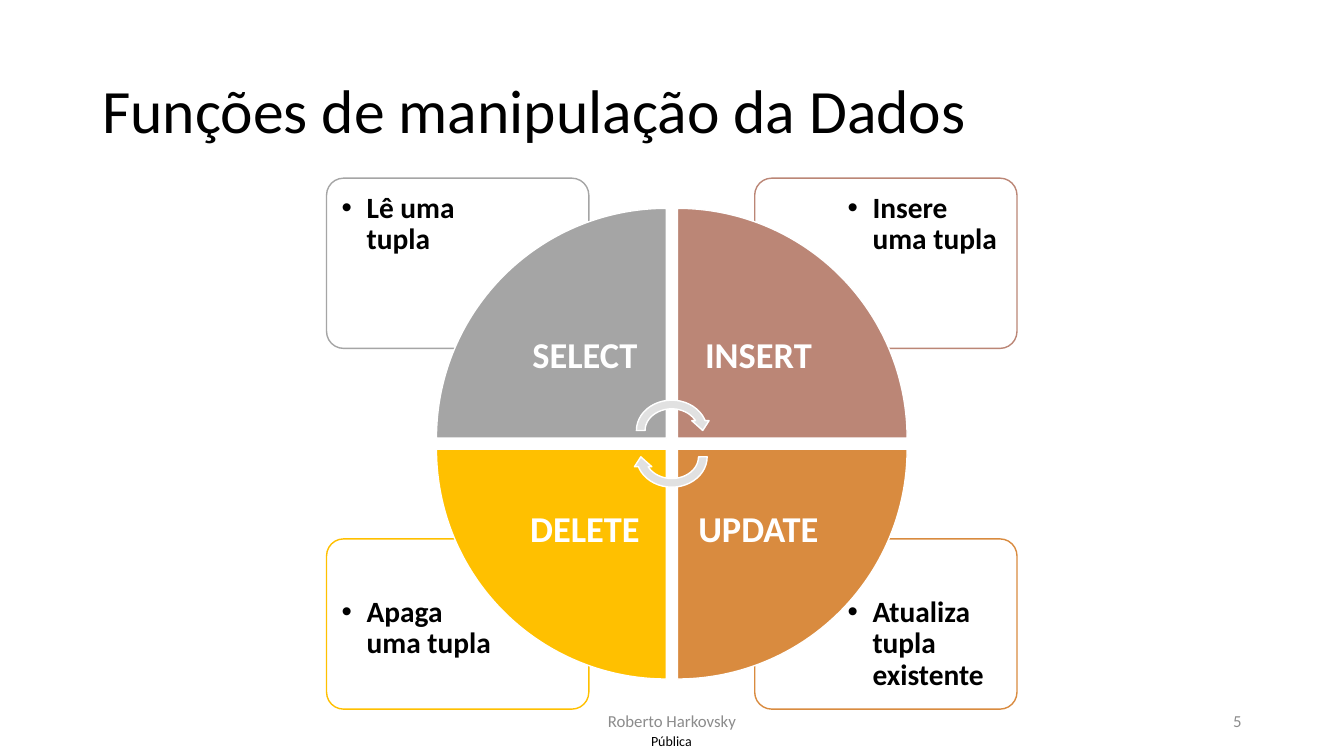
from lxml import etree
from pptx import Presentation
from pptx.dml.color import RGBColor
from pptx.enum.shapes import MSO_SHAPE as SHAPE
from pptx.enum.text import MSO_ANCHOR as ANCHOR, PP_ALIGN as ALIGN
from pptx.oxml.ns import qn
from pptx.util import Cm, Pt

COLORS = {"black": "000000", "white": "FFFFFF", "footer": "8C8C8C",
          "arrow": "E1E1E1", "select": "A5A5A5", "insert": "BB8676",
          "update": "D98B3F", "delete": "FFC000"}

FUNCTIONS = [
    ("SELECT", "Lê uma tupla", "select", -1, -1),
    ("INSERT", "Insere uma tupla", "insert", 1, -1),
    ("UPDATE", "Atualiza tupla existente", "update", 1, 1),
    ("DELETE", "Apaga uma tupla", "delete", -1, 1),
]

FRAME_TEXTS = [
    ("Pública", (16.03, 18.31, 1.78, 0.74), 10, "black", ALIGN.CENTER, 0),
    ("Funções de manipulação da Dados", (2.33, 1.01, 29.21, 3.68), 44, "black", ALIGN.LEFT, 0.25),
    ("Roberto Harkovsky", (11.22, 17.66, 11.43, 1.01), 12, "footer", ALIGN.CENTER, 0.25),
    ("5", (23.92, 17.66, 7.62, 1.01), 12, "footer", ALIGN.RIGHT, 0.25),
]

CENTER_X, CENTER_Y = 16.93, 11.18
BOX_REACH, BOX_SIZE = (8.7, 6.69), (6.61, 4.29)
NOTE_REACH, NOTE_SIZE = (8.6, 6.6), (4.45, 3.02)
WEDGE_REACH, WEDGE_SIZE = (5.93, 5.93), (5.79, 5.79)
LABEL_REACH, LABEL_SIZE = (4.23, 4.23), (4.09, 4.09)
ARROW_SIZE, ARROW_SHIFT = (2.0, 1.75), 0.33

prs = Presentation()
prs.slide_width, prs.slide_height = Cm(33.87), Cm(19.05)
slide = prs.slides.add_slide(prs.slide_layouts[6])


def color(name):
    return RGBColor.from_string(COLORS[name])


def quadrant(side_x, side_y, reach, size):
    left = CENTER_X - reach[0] if side_x < 0 else CENTER_X + reach[0] - size[0]
    top = CENTER_Y - reach[1] if side_y < 0 else CENTER_Y + reach[1] - size[1]
    return left, top, *size


def add_shape(kind, at, fill, line, rotation=0):
    sp = slide.shapes.add_shape(kind, *map(Cm, at))
    sp.shadow.inherit = False
    sp.fill.solid()
    sp.fill.fore_color.rgb = color(fill)
    sp.line.color.rgb = color(line)
    sp.line.width = Pt(1)
    sp.rotation = rotation
    return sp


def add_text(text, at, size, name, align, inset, bold=False, anchor=ANCHOR.MIDDLE):
    tf = slide.shapes.add_textbox(*map(Cm, at)).text_frame
    tf.word_wrap = True
    tf.vertical_anchor = anchor
    tf.margin_left = tf.margin_right = Cm(inset)
    tf.margin_top = tf.margin_bottom = Cm(min(inset, 0.13) if not bold else inset)
    tf.text = text
    p = tf.paragraphs[0]
    p.alignment = align
    p.line_spacing = 0.9 if size > 12 else 1.0
    font = p.runs[0].font
    font.name, font.size, font.bold = "Calibri", Pt(size), bold
    font.color.rgb = color(name)
    return p


def add_bullet(p):
    pPr = p._p.get_or_add_pPr()
    pPr.set("marL", str(Cm(0.63)))
    pPr.set("indent", str(Cm(-0.63)))
    etree.SubElement(pPr, qn("a:buFont")).set("typeface", "Arial")
    etree.SubElement(pPr, qn("a:buChar")).set("char", "•")


for text, at, size, name, align, inset in FRAME_TEXTS:
    add_text(text, at, size, name, align, inset)

for label, note, name, side_x, side_y in FUNCTIONS:
    box = add_shape(SHAPE.ROUNDED_RECTANGLE,
                    quadrant(side_x, side_y, BOX_REACH, BOX_SIZE), "white", name)
    box.adjustments[0] = 0.1
    p = add_text(note, quadrant(side_x, side_y, NOTE_REACH, NOTE_SIZE),
                 21, "black", ALIGN.LEFT, 0.28, True, ANCHOR.TOP)
    add_bullet(p)

for i, (label, note, name, side_x, side_y) in enumerate(FUNCTIONS):
    add_shape(SHAPE.PIE_WEDGE, quadrant(side_x, side_y, WEDGE_REACH, WEDGE_SIZE),
              name, "white", 90 * i)
    add_text(label, quadrant(side_x, side_y, LABEL_REACH, LABEL_SIZE),
             26, "white", ALIGN.CENTER, 0.5, True)

for side_y, rotation in ((-1, 0), (1, 180)):
    width, height = ARROW_SIZE
    at = (CENTER_X - width / 2, CENTER_Y + side_y * ARROW_SHIFT - height / 2, width, height)
    add_shape(SHAPE.CIRCULAR_ARROW, at, "arrow", "white", rotation)

prs.save("out.pptx")
